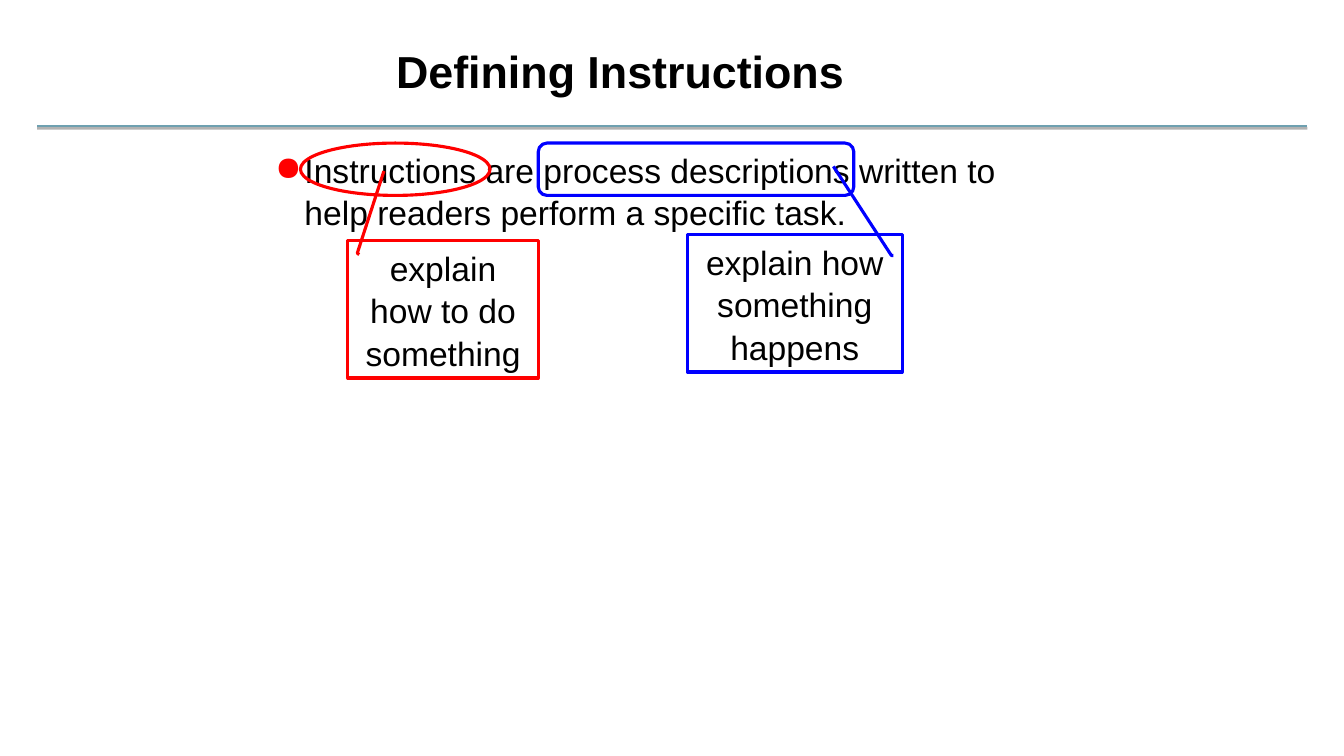
import pptx
import pptx.dml.color
import pptx.enum.shapes
import pptx.enum.text
import pptx.oxml
import pptx.oxml.ns
import pptx.util

Pt = pptx.util.Pt
SHAPES = pptx.enum.shapes.MSO_SHAPE
ALIGN = pptx.enum.text.PP_ALIGN
ANCHOR = pptx.enum.text.MSO_ANCHOR
RED, BLUE, BLACK, TEAL = "FF0000", "0000FF", "000000", "6EA0B0"
BODY_FORMAT = {"name": "Arial", "size": Pt(24), "bold": False}
TITLE_FORMAT = {"name": "Arial", "size": Pt(32), "bold": True}


def color(value):
    return pptx.dml.color.RGBColor.from_string(value)


def drawing_xml(body):
    return pptx.oxml.parse_xml(body.replace(">", f" {pptx.oxml.ns.nsdecls('a')}>", 1))


def apply_format(target, values):
    for name, value in values.items():
        setattr(target, name, value)


def write_text(shape, text, font_format, paragraph_format, frame_format):
    apply_format(shape.text_frame, frame_format)
    paragraph = shape.text_frame.paragraphs[0]
    apply_format(paragraph, paragraph_format)
    run = paragraph.add_run()
    run.text = text
    apply_format(run.font, font_format)
    run.font.color.rgb = color(BLACK)
    return paragraph


def add_text(slide, box, text, font_format, paragraph_format, wrap):
    shape = slide.shapes.add_textbox(*map(Pt, box))
    return write_text(shape, text, font_format, paragraph_format, {"word_wrap": wrap})


def add_bullet(paragraph, symbol, symbol_color):
    properties = paragraph._p.get_or_add_pPr()
    properties.set("marL", str(Pt(21)))
    properties.set("indent", str(Pt(-21)))
    properties.append(drawing_xml(
        f'<a:buClr><a:srgbClr val="{symbol_color}"/></a:buClr>'))
    properties.append(drawing_xml(f'<a:buChar char="{symbol}"></a:buChar>'))


def add_outline(slide, kind, box, line_color):
    shape = slide.shapes.add_shape(kind, *map(Pt, box))
    shape.shadow.inherit = False
    shape.fill.background()
    shape.line.color.rgb = color(line_color)
    shape.line.width = Pt(2.25)
    return shape


def add_callout(slide, box, line_color, text, adjustments):
    shape = add_outline(slide, SHAPES.LINE_CALLOUT_2, box, line_color)
    for index, value in enumerate(adjustments):
        shape.adjustments[index] = value
    write_text(shape, text, BODY_FORMAT,
               {"alignment": ALIGN.CENTER, "line_spacing": 1.05},
               {"word_wrap": True, "vertical_anchor": ANCHOR.MIDDLE})


def add_rule(slide, left, right, top):
    rule = slide.shapes.add_connector(
        pptx.enum.shapes.MSO_CONNECTOR.STRAIGHT, Pt(left), Pt(top), Pt(right), Pt(top))
    rule.line.color.rgb = color(TEAL)
    rule.line.width = Pt(2)
    rule._element.spPr.append(drawing_xml(
        f'<a:effectLst><a:outerShdw blurRad="0" dist="{Pt(1.6)}" dir="5400000">'
        f'<a:srgbClr val="{BLACK}"><a:alpha val="30000"/></a:srgbClr>'
        '</a:outerShdw></a:effectLst>'))


def main():
    presentation = pptx.Presentation()
    presentation.slide_width, presentation.slide_height = Pt(960), Pt(540)
    slide = presentation.slides.add_slide(presentation.slide_layouts[6])

    add_rule(slide, 26.6, 933.8, 90)
    add_text(slide, (275.8, 27.4, 337, 46), "Defining Instructions",
             TITLE_FORMAT, {"alignment": ALIGN.LEFT}, False)
    definition = add_text(
        slide, (189.4, 102.2, 556.6, 65.5),
        "Instructions are process descriptions written to help readers "
        "perform a specific task.",
        BODY_FORMAT, {"alignment": ALIGN.LEFT, "line_spacing": 1.05}, True)
    add_bullet(definition, "●", RED)

    add_outline(slide, SHAPES.OVAL, (214.6, 102.2, 135.4, 37.4), RED)
    add_outline(slide, SHAPES.ROUNDED_RECTANGLE, (384.5, 102.2, 225.4, 37.4), BLUE)
    add_callout(slide, (248.4, 172.1, 136.1, 97.9), RED, "explain how to do something",
                (0.1, 0.06, 0.09, 0.05, -0.51, 0.19))
    add_callout(slide, (491, 167.8, 153.4, 97.9), BLUE, "explain how something happens",
                (0.15, 0.96, 0.15, 0.95, -0.5, 0.68))

    presentation.save("out.pptx")


if __name__ == "__main__":
    main()
